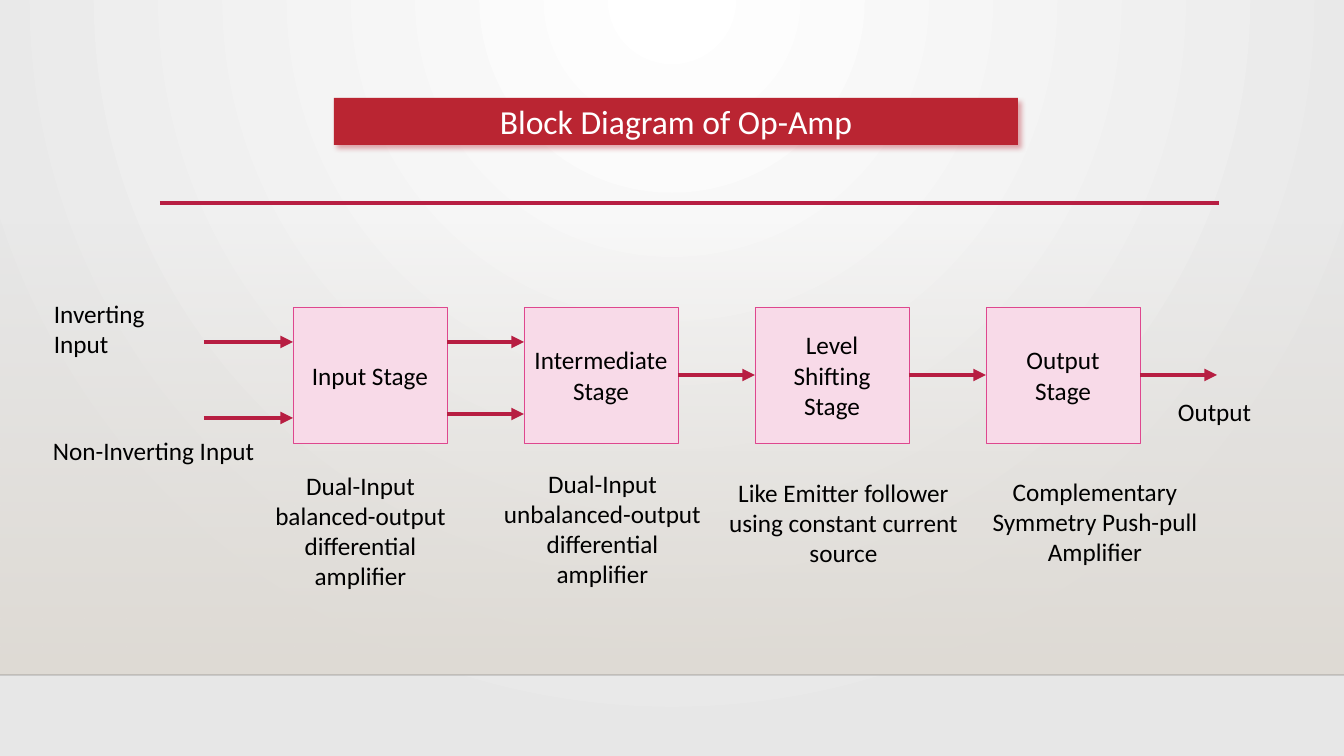
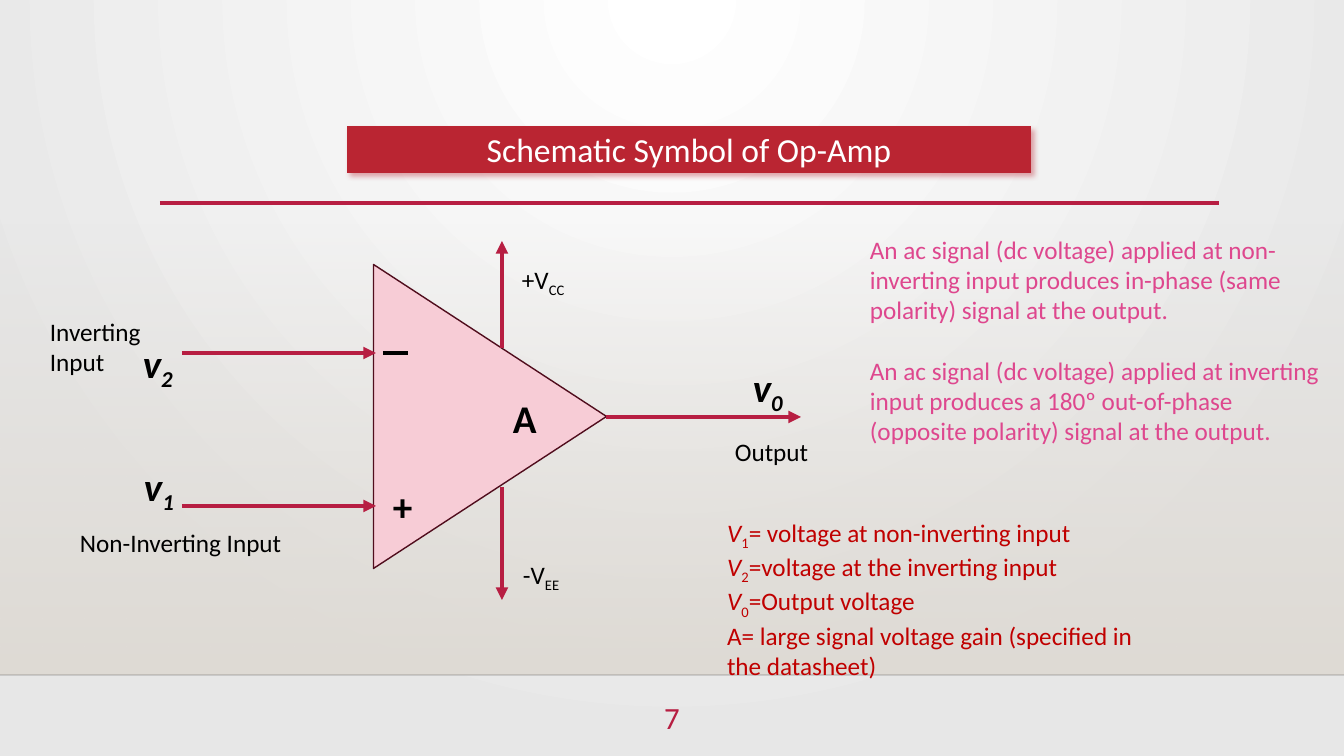
import pptx
import pptx.util
import pptx.dml.color
import pptx.enum.shapes
import pptx.enum.text
import pptx.oxml
import pptx.oxml.ns

# Shared look
SCALE = 914400 / 100.8
WIDE, HIGH = 1344, 756
FONT = "Calibri"
BLACK, WHITE, RED, BRICK = "000000", "FFFFFF", "B71E42", "BA2532"
PINK, BLUSH, ROSE, WINE, DARK = "DE478E", "F8DAE8", "F7CCD6", "500D1D", "C00000"
SHAPE = pptx.enum.shapes.MSO_SHAPE
ALIGN = pptx.enum.text.PP_ALIGN
MID = pptx.enum.text.MSO_ANCHOR.MIDDLE
TOP = pptx.enum.text.MSO_ANCHOR.TOP
NS = 'xmlns:a="http://schemas.openxmlformats.org/drawingml/2006/main"'

# Block diagram: stages with notes (text, left, top, width)
STAGES = [
    ("Input Stage", ["Dual-Input", "balanced-output", "differential amplifier"], 248, 465, 225),
    ("Intermediate Stage", ["Dual-Input", "unbalanced-output", "differential amplifier"], 490, 463, 225),
    ("Level Shifting Stage", ["Like Emitter follower", "using constant current", "source"], 718, 472, 251),
    ("Output Stage", ["Complementary", "Symmetry Push-pull", "Amplifier"], 979, 471, 232),
]
LEFT, ROW, STEP, BOXW, BOXH = 293, 307, 231, 154, 136
FEEDS = [(204, 342, 293, 342), (204, 418, 293, 418),
         (447, 342, 524, 342), (447, 414, 524, 414)]
PORTS = [("Inverting Input", 44, 293, 150), ("Non-Inverting Input", 43, 430, 240),
         ("Output", 1168, 391, 110)]

# Schematic: arrows, labels and explanations
WIRES = [(182, 353, 376, 353), (182, 506, 376, 506), (502, 348, 502, 241),
         (502, 487, 502, 600), (606, 417, 801, 417)]
PINS = [("Inverting Input", 40, 311, 150), ("Non-Inverting Input", 70, 522, 240),
        ("Output", 725, 431, 110)]
RAILS = [("+V", "CC", 512, 259), ("-V", "EE", 513, 554)]
SIGNS = [("v", "0", 743, 358), ("v", "2", 133, 334), ("v", "1", 134, 457)]
MARKS = [("+", 383, 477), ("A", 503, 389)]
FACTS = [
    "An ac signal (dc voltage) applied at non-inverting input produces in-phase "
    "(same polarity) signal at the output.",
    "An ac signal (dc voltage) applied at inverting input produces a 180º "
    "out-of-phase (opposite polarity) signal at the output.",
]
TERMS = [
    [("V", "i"), ("1", "s"), ("= voltage at non-inverting input", "")],
    [("V", "i"), ("2", "s"), ("=voltage at the inverting input", "")],
    [("V", "i"), ("0", "s"), ("=Output voltage", "")],
    [("A= large signal voltage gain (specified in the datasheet)", "")],
]


def px(n):
    return pptx.util.Emu(round(n * SCALE))


def rgb(code):
    return pptx.dml.color.RGBColor.from_string(code)


def xml(text):
    return pptx.oxml.parse_xml(text)


def write(frame, paras, size=18, color=BLACK, align=ALIGN.LEFT, gap=0):
    """Each paragraph is a string or a list of (text, flags): b, i, s = subscript."""
    frame.word_wrap = True
    frame.auto_size = pptx.enum.text.MSO_AUTO_SIZE.NONE
    for n, para in enumerate(paras):
        p = frame.paragraphs[0] if n == 0 else frame.add_paragraph()
        p.alignment = align
        p.space_before = pptx.util.Pt(gap if n else 0)
        for text, flags in [(para, "")] if isinstance(para, str) else para:
            run = p.add_run()
            run.text = text
            font = run.font
            font.name, font.size = FONT, pptx.util.Pt(size)
            font.bold, font.italic = "b" in flags, "i" in flags
            font.color.rgb = rgb(color)
            if "s" in flags:
                run._r.get_or_add_rPr().set("baseline", "-25000")


def label(slide, x, y, w, paras, h=40, **style):
    box = slide.shapes.add_textbox(px(x), px(y), px(w), px(h))
    write(box.text_frame, paras, **style)


def block(slide, kind, x, y, w, h, fill, edge=None, pt=1):
    shape = slide.shapes.add_shape(kind, px(x), px(y), px(w), px(h))
    shape.shadow.inherit = False
    paint(shape, fill, edge, pt)
    return shape


def paint(shape, fill, edge=None, pt=1):
    if fill:
        shape.fill.solid()
        shape.fill.fore_color.rgb = rgb(fill)
    else:
        shape.fill.background()
    if edge:
        shape.line.color.rgb = rgb(edge)
        shape.line.width = pptx.util.Pt(pt)
    else:
        shape.line.fill.background()


def line(slide, ends, color=RED, pt=3, head=False):
    link = slide.shapes.add_connector(
        pptx.enum.shapes.MSO_CONNECTOR.STRAIGHT, *[px(n) for n in ends])
    link.line.color.rgb = rgb(color)
    link.line.width = pptx.util.Pt(pt)
    if head:
        link.line._get_or_add_ln().append(xml(f'<a:tailEnd {NS} type="triangle"/>'))
    link._element.spPr.append(xml(f"<a:effectLst {NS}/>"))
    return link


def blend(props, stops, way):
    """Put a gradient in place of the empty fill."""
    marks = "".join(
        f'<a:gs pos="{pos * 1000}"><a:srgbClr val="{color}">'
        f'<a:alpha val="{alpha * 1000}"/></a:srgbClr></a:gs>'
        for pos, color, alpha in stops)
    void = props.find(pptx.oxml.ns.qn("a:noFill"))
    props.replace(void, xml(f'<a:gradFill {NS} rotWithShape="1"><a:gsLst>{marks}'
                            f"</a:gsLst>{way}</a:gradFill>"))


def dress(deck, slide):
    """Give the master its background, band and rules, drawn by way of a slide."""
    master = deck.slide_master
    master.background.fill.background()
    back = master.element.find(".//" + pptx.oxml.ns.qn("p:bgPr"))
    blend(back, [(0, "FFFFFF", 100), (100, "E7E7E7", 100)],
          '<a:path path="circle"><a:fillToRect l="43000" t="0" r="43000" b="100000"/></a:path>')
    band = block(slide, SHAPE.RECTANGLE, 0, 223, WIDE, 452, None)
    blend(band._element.spPr, [(0, "DFDBD5", 0), (100, "DFDBD5", 100)],
          '<a:lin ang="5400000" scaled="0"/>')
    base = line(slide, (0, 675, WIDE, 675), "000001", 1)
    tint = base._element.find(".//" + pptx.oxml.ns.qn("a:srgbClr"))
    tint.append(xml(f'<a:alpha {NS} val="20000"/>'))
    rule = line(slide, (160, 203, 1219, 203), RED, 2.5)
    for part in (band, base, rule):
        master.shapes.element.append(part._element)


def head(slide, text, x, y):
    """Title placeholder as a red rounded banner."""
    title = slide.shapes.title
    title.left, title.top, title.width, title.height = px(x), px(y), px(684), px(47)
    props = title._element.spPr
    props.append(xml(f'<a:prstGeom {NS} prst="roundRect"><a:avLst/></a:prstGeom>'))
    paint(title, BRICK)
    props.append(xml(
        f'<a:effectLst {NS}><a:outerShdw blurRad="50800" dist="38100" dir="2700000" '
        f'algn="tl" rotWithShape="0"><a:srgbClr val="{BRICK}"><a:alpha val="40000"/>'
        "</a:srgbClr></a:outerShdw></a:effectLst>"))
    write(title.text_frame, [text], 24, WHITE, ALIGN.CENTER)
    title.text_frame.vertical_anchor = MID


def diagram(slide):
    head(slide, "Block Diagram of Op-Amp", 334, 98)
    boxes = []
    for n, (name, note, x, y, w) in enumerate(STAGES):
        box = block(slide, SHAPE.RECTANGLE, LEFT + n * STEP, ROW, BOXW, BOXH,
                    BLUSH, PINK, 0.5)
        write(box.text_frame, [name], align=ALIGN.CENTER)
        box.text_frame.vertical_anchor = MID
        boxes.append(box)
        label(slide, x, y, w, note, 102, align=ALIGN.CENTER)
    for ends in FEEDS:
        line(slide, ends, head=True)
    # Single arrows leave the later stages at mid height
    mid = ROW + BOXH // 2
    for n in range(1, len(boxes)):
        x = LEFT + n * STEP + BOXW
        link = line(slide, (x, mid, x + STEP - BOXW, mid), head=True)
        link.begin_connect(boxes[n], 3)
        if n + 1 < len(boxes):
            link.end_connect(boxes[n + 1], 1)
    for text, x, y, w in PORTS:
        label(slide, x, y, w, [text])


def symbol(slide):
    head(slide, "Schematic Symbol of Op-Amp", 347, 126)
    amp = block(slide, SHAPE.ISOSCELES_TRIANGLE, 338, 300, 304, 233, ROSE, WINE)
    amp.rotation = 90
    for ends in WIRES:
        line(slide, ends, head=True)
    line(slide, (383, 353, 408, 353), BLACK)
    # Labels
    for text, x, y, w in PINS:
        label(slide, x, y, w, [text])
    for text, sub, x, y in RAILS:
        label(slide, x, y, 97, [[(text, ""), (sub, "s")]])
    for text, sub, x, y in SIGNS:
        label(slide, x, y, 60, [[(text, "bi"), (sub, "bis")]], 57, size=28)
    for text, x, y in MARKS:
        label(slide, x, y, 51, [[(text, "b")]], 57, size=28)
    # Explanations and list of terms
    label(slide, 860, 229, 484, FACTS, 254, color=PINK, gap=21.6)
    body = slide.placeholders[1]
    body.left, body.top, body.width, body.height = px(717), px(512), px(464), px(163)
    write(body.text_frame, TERMS, color=DARK)
    body.text_frame.vertical_anchor = TOP
    for p in body.text_frame.paragraphs:
        props = p._p.get_or_add_pPr()
        props.set("marL", "0")
        props.set("indent", "0")
        props.append(xml(f"<a:buNone {NS}/>"))
    label(slide, 627, 694, 90, ["7"], 55, size=22, color=RED, align=ALIGN.CENTER)


def main():
    deck = pptx.Presentation()
    deck.slide_width, deck.slide_height = px(WIDE), px(HIGH)
    first = deck.slides.add_slide(deck.slide_layouts[5])
    dress(deck, first)
    diagram(first)
    symbol(deck.slides.add_slide(deck.slide_layouts[1]))
    deck.save("out.pptx")


if __name__ == "__main__":
    main()
